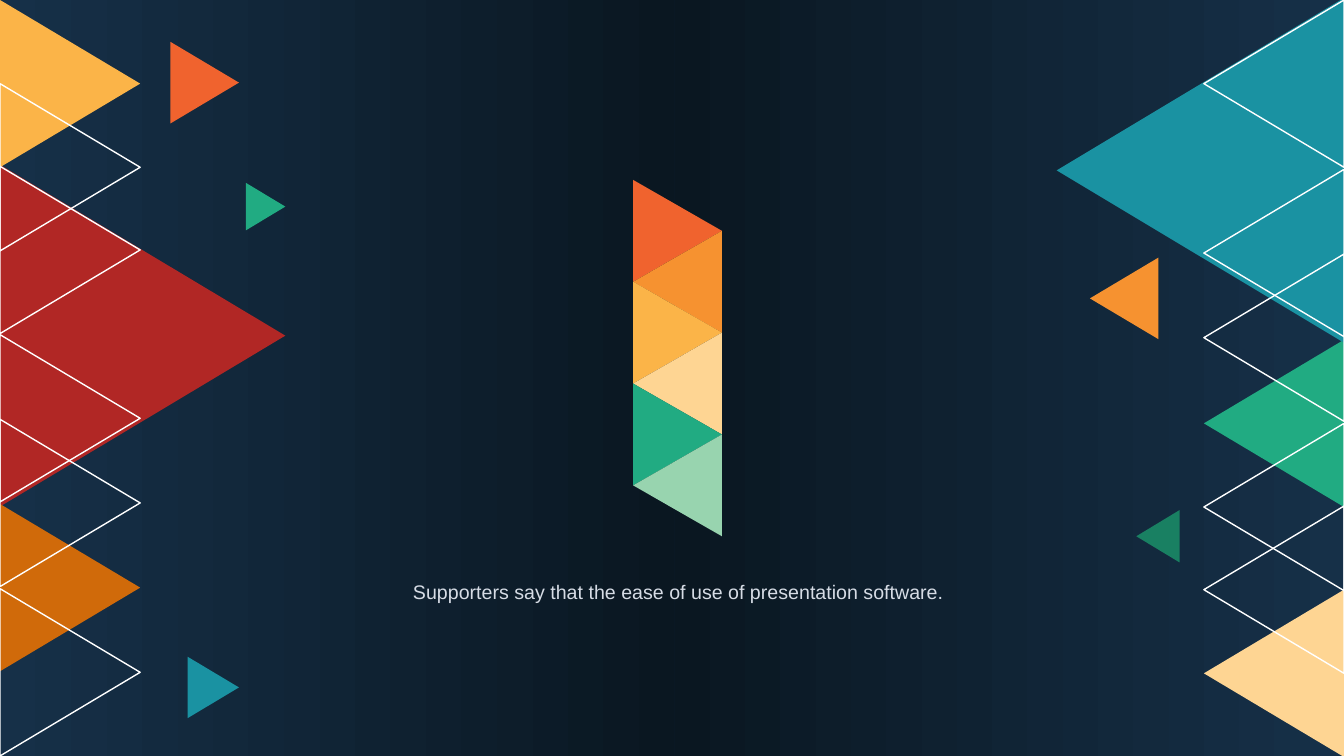
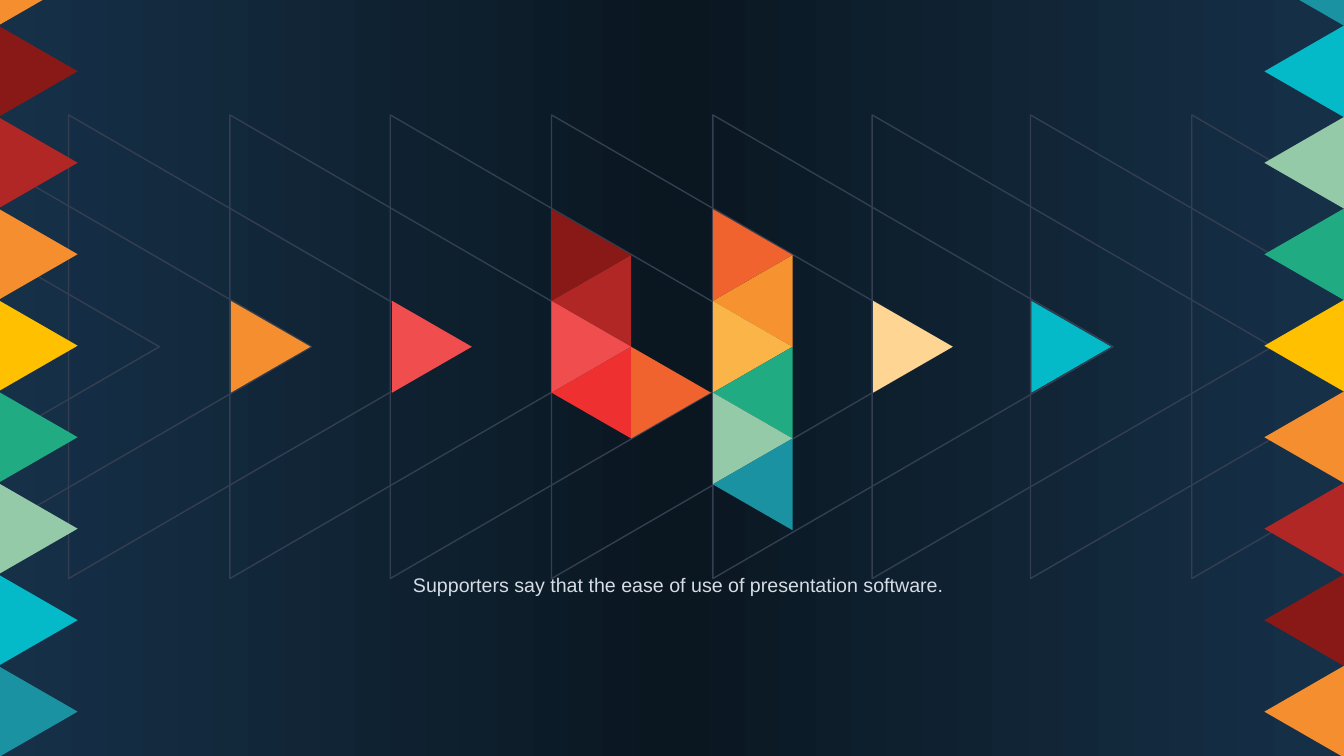
from dataclasses import dataclass
from itertools import cycle

from pptx import Presentation
from pptx.dml.color import RGBColor
from pptx.enum.shapes import MSO_SHAPE
from pptx.enum.text import MSO_AUTO_SIZE, PP_ALIGN
from pptx.slide import Slide
from pptx.util import Inches, Pt

# Shared palette and measures
WIDTH, HEIGHT = 13.33, 7.5
NIGHT, NAVY = "0A1721", "163048"
WHITE, SLATE, MIST = "FFFFFF", "333F50", "D6DCE5"
MAROON, CRIMSON, CORAL, SCARLET = "891917", "B12725", "F04D4E", "EE3030"
VERMILION, ORANGE, TANGERINE, RUST = "F0632E", "F69230", "F58E2E", "D06A0A"
AMBER, GOLD, CREAM = "FBB448", "FFC000", "FED593"
GREEN, FOREST, MINT, SAGE = "21AB82", "198062", "98D4AF", "94CAA8"
TEAL, CYAN = "1A92A2", "05BAC8"
RIGHT, LEFT = 90, 270  # rotation that points a triangle that way

CAPTION = "Supporters say that the ease of use of presentation software."
CAPTION_FONT = {"name": "Arial", "size": Pt(14)}
CAPTION_FRAME = {"word_wrap": True, "auto_size": MSO_AUTO_SIZE.SHAPE_TO_FIT_TEXT}


@dataclass(frozen=True)
class Triangle:
    """A sideways triangle: left edge, middle height, upright side and depth."""
    left: float
    middle: float
    side: float
    depth: float
    colour: str
    points: int = RIGHT
    outlined: bool = False


def rgb(colour: str) -> RGBColor:
    return RGBColor.from_string(colour)


def apply(target, values: dict) -> None:
    for name, value in values.items():
        setattr(target, name, value)


def draw_triangles(shapes, triangles: list[Triangle]) -> None:
    for item in triangles:
        # The box is placed before rotation, around the same centre
        left = item.left + (item.depth - item.side) / 2
        triangle = shapes.add_shape(
            MSO_SHAPE.ISOSCELES_TRIANGLE, Inches(left), Inches(item.middle - item.depth / 2),
            Inches(item.side), Inches(item.depth))
        triangle.rotation = item.points
        triangle.shadow.inherit = False
        if item.outlined:
            triangle.fill.background()
            triangle.line.color.rgb = rgb(item.colour)
            triangle.line.width = Pt(1)
        else:
            triangle.fill.solid()
            triangle.fill.fore_color.rgb = rgb(item.colour)
            triangle.line.fill.background()


def draw_group(slide: Slide, triangles: list[Triangle]) -> None:
    draw_triangles(slide.shapes.add_group_shape().shapes, triangles)


def column(left: float, top_middle: float, side: float, depth: float,
           colours: list[str]) -> list[Triangle]:
    """Interlocking triangles that point right and left in turn."""
    return [Triangle(left, top_middle + i * side / 2, side, depth, colour, points)
            for i, (colour, points) in enumerate(zip(colours, cycle((RIGHT, LEFT))))]


def draw_backdrop(slide: Slide) -> None:
    """Two mirrored gradients, dark where they meet."""
    seam = 6.69
    for left, width, rotation in ((seam, WIDTH - seam + 0.01, 180), (0, seam, 0)):
        panel = slide.shapes.add_shape(
            MSO_SHAPE.RECTANGLE, Inches(left), 0, Inches(width), Inches(HEIGHT))
        panel.rotation = rotation
        panel.shadow.inherit = False
        panel.line.fill.background()
        panel.fill.gradient()
        panel.fill.gradient_angle = 0
        for stop, position, colour in zip(panel.fill.gradient_stops, (0, 1), (NAVY, NIGHT)):
            stop.position = position
            stop.color.rgb = rgb(colour)


def draw_caption(slide: Slide, top: float) -> None:
    frame = slide.shapes.add_textbox(
        Inches(3.98), Inches(top), Inches(5.5), Inches(0.34)).text_frame
    apply(frame, CAPTION_FRAME)
    paragraph = frame.paragraphs[0]
    paragraph.alignment = PP_ALIGN.CENTER
    run = paragraph.add_run()
    run.text = CAPTION
    apply(run.font, CAPTION_FONT)
    run.font.color.rgb = rgb(MIST)


def build_one(slide: Slide) -> None:
    draw_backdrop(slide)
    # Numeral 1
    draw_group(slide, column(6.28, 2.29, 1.01, 0.88,
                             [VERMILION, ORANGE, AMBER, CREAM, GREEN, MINT]))
    # Solid triangles along both edges
    side, depth = 1.66, 1.39
    right_edge = WIDTH - depth
    draw_triangles(slide.shapes, [
        Triangle(0, 3.33, 3.39, 2.83, CRIMSON),
        Triangle(0, 5.83, side, depth, RUST),
        Triangle(0, 0.83, side, depth, AMBER),
        Triangle(right_edge, 4.2, side, depth, GREEN, LEFT),
        Triangle(WIDTH - 2.85, 1.69, 3.42, 2.85, TEAL, LEFT),
        Triangle(right_edge, 6.68, side, depth, CREAM, LEFT),
    ])
    # White outlines over them
    outlines = ((0, RIGHT, (1.66, 2.48, 4.15, 4.99, 6.67)),
                (right_edge, LEFT, (0.83, 2.51, 3.35, 5.03, 5.85)))
    draw_triangles(slide.shapes, [
        Triangle(left, middle, side, depth, WHITE, points, outlined=True)
        for left, points, middles in outlines for middle in middles])
    draw_caption(slide, 5.7)
    # Loose small triangles
    draw_triangles(slide.shapes, [
        Triangle(1.69, 0.82, 0.81, 0.68, VERMILION),
        Triangle(2.44, 2.05, 0.47, 0.39, GREEN),
        Triangle(1.86, 6.82, 0.61, 0.51, TEAL),
        Triangle(10.81, 2.96, 0.81, 0.68, ORANGE, LEFT),
        Triangle(11.27, 5.32, 0.52, 0.43, FOREST, LEFT),
    ])


def build_four(slide: Slide) -> None:
    draw_backdrop(slide)
    side, depth, axis = 0.91, 0.79, 3.44
    # Row of large outlines
    outline_lefts = (-2.39, -0.88, 0.68, 2.28, 3.87, 5.47, 7.07, 8.65, 10.22, 11.82)
    draw_triangles(slide.shapes, [
        Triangle(left, axis, 4.6, 3.97, SLATE, outlined=True) for left in outline_lefts])
    draw_caption(slide, 5.63)
    # Numeral 4: left arm with its crossbar, then the stem
    top_middle = axis - side
    arm = column(5.47, top_middle, side, depth, [MAROON, CRIMSON, CORAL, SCARLET])
    crossbar = Triangle(5.47 + depth, axis + side / 2, side, depth, VERMILION)
    stem = column(7.07, top_middle, side, depth,
                  [VERMILION, ORANGE, AMBER, GREEN, SAGE, TEAL])
    draw_group(slide, [*arm, crossbar, *stem])
    # Accents on the axis
    accents = ((2.29, TANGERINE), (3.89, CORAL), (8.66, CREAM), (10.23, CYAN))
    draw_triangles(slide.shapes, [
        Triangle(left, axis, side, depth, colour) for left, colour in accents])
    # Teeth down both edges
    first, last = -0.2, 7.06
    edges = (
        (-0.02, RIGHT, [TANGERINE, MAROON, CRIMSON, TANGERINE, GOLD, GREEN, SAGE, CYAN, TEAL]),
        (WIDTH - depth, LEFT,
         [TEAL, CYAN, SAGE, GREEN, GOLD, TANGERINE, CRIMSON, MAROON, TANGERINE]),
    )
    for left, points, colours in edges:
        step = (last - first) / (len(colours) - 1)
        draw_group(slide, [Triangle(left, first + i * step, side, depth, colour, points)
                           for i, colour in enumerate(colours)])


def main() -> None:
    deck = Presentation()
    deck.slide_width, deck.slide_height = Inches(WIDTH), Inches(HEIGHT)
    blank = deck.slide_layouts[6]
    for build in (build_one, build_four):
        build(deck.slides.add_slide(blank))
    deck.save("out.pptx")


if __name__ == "__main__":
    main()
